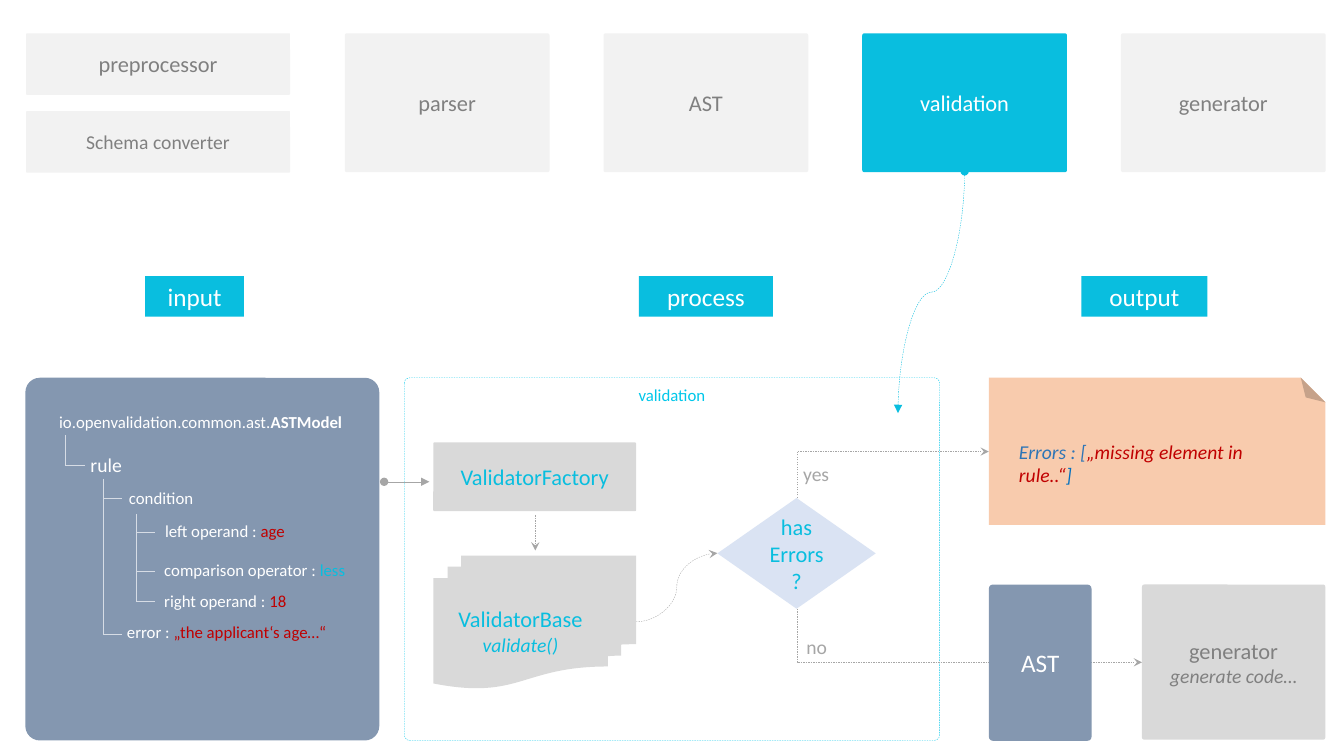
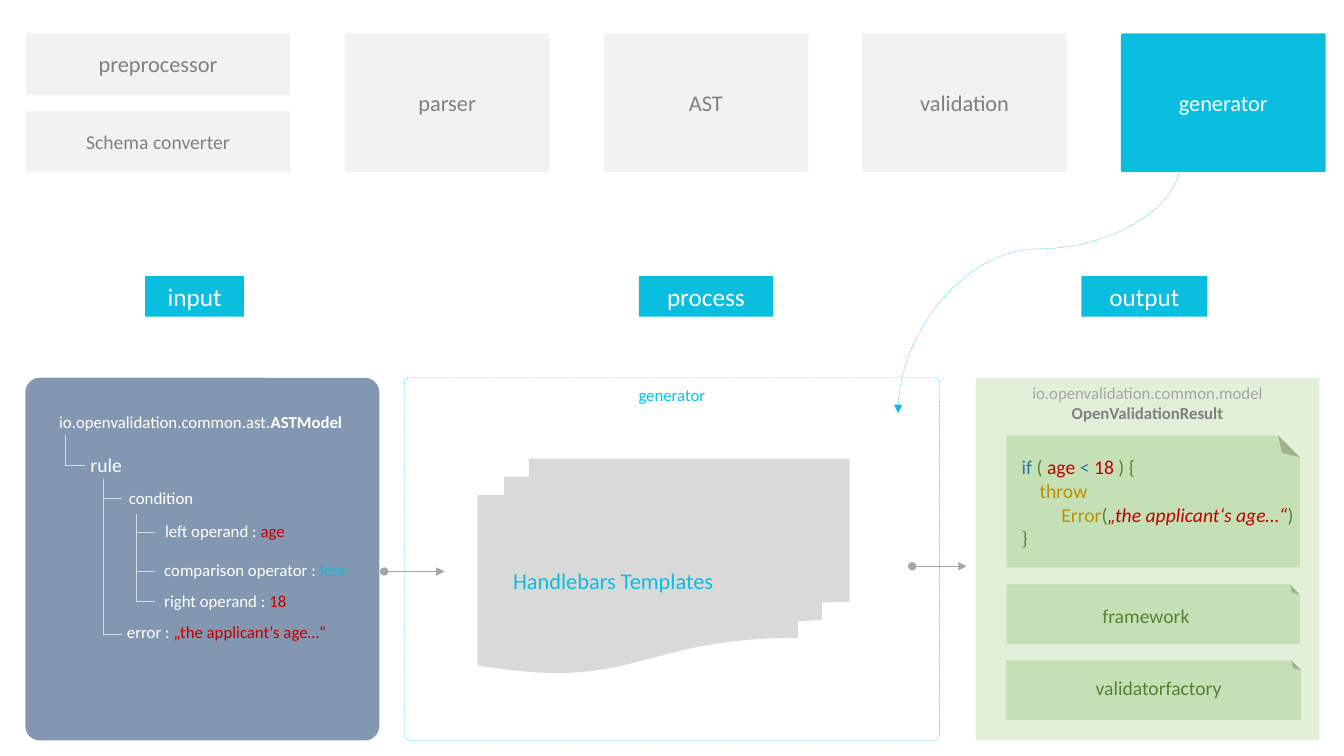
from dataclasses import dataclass

from lxml import etree
from pptx import Presentation
from pptx.dml.color import RGBColor
from pptx.enum.dml import MSO_LINE
from pptx.enum.shapes import MSO_CONNECTOR, MSO_SHAPE
from pptx.enum.text import MSO_ANCHOR, MSO_AUTO_SIZE, PP_ALIGN
from pptx.oxml.ns import qn
from pptx.util import Cm, Pt

RECT, ROUND = MSO_SHAPE.RECTANGLE, MSO_SHAPE.ROUNDED_RECTANGLE
DOCS, DIAMOND = MSO_SHAPE.FLOWCHART_MULTIDOCUMENT, MSO_SHAPE.FLOWCHART_DECISION
FOLD = MSO_SHAPE.FOLDED_CORNER
LINE, CURVE, ELBOW = MSO_CONNECTOR.STRAIGHT, MSO_CONNECTOR.CURVE, MSO_CONNECTOR.ELBOW
DASH, DOT = MSO_LINE.DASH, MSO_LINE.ROUND_DOT
LEFT, CENTER = PP_ALIGN.LEFT, PP_ALIGN.CENTER
TOP, MIDDLE = MSO_ANCHOR.TOP, MSO_ANCHOR.MIDDLE
FIT = MSO_AUTO_SIZE.SHAPE_TO_FIT_TEXT


@dataclass(frozen=True)
class Theme:
    font: str = "Calibri"
    small: int = 12
    body: int = 14
    label: int = 16
    head: int = 18
    hair: float = 0.25
    cyan: str = "09BEDF"
    frame: str = "00C7EA"
    white: str = "FFFFFF"
    pale: str = "F2F2F2"
    gray: str = "D9D9D9"
    mid: str = "A6A6A6"
    dark: str = "808080"
    slate: str = "8497B0"
    twig: str = "D6DCE5"
    ice: str = "DAE3F3"
    peach: str = "F8CBAD"
    mint: str = "E2F0D9"
    leaf: str = "C5E0B4"
    green: str = "548235"
    red: str = "C00000"
    blue: str = "2E75B6"
    sky: str = "0070C0"
    gold: str = "BF9000"


T = Theme()


@dataclass
class Para:
    """One paragraph; runs is a string or (text, colour, style) tuples, style "b" or "i"."""
    runs: object
    size: int
    color: str
    style: str = ""
    indent: float = 0


def paint(font, color, style):
    font.color.rgb = RGBColor.from_string(color)
    if style:
        font.bold = "b" in style
        font.italic = "i" in style


class Deck:
    def __init__(self):
        self.prs = Presentation()
        self.prs.slide_width, self.prs.slide_height = Cm(33.87), Cm(19.05)
        self.slide = None

    def page(self):
        self.slide = self.prs.slides.add_slide(self.prs.slide_layouts[6])

    def fill_in(self, frame, paras, align):
        for i, para in enumerate(paras):
            p = frame.add_paragraph() if i else frame.paragraphs[0]
            p.alignment = align
            p.font.name, p.font.size = T.font, Pt(para.size)
            paint(p.font, para.color, para.style)
            if para.indent:
                p._p.get_or_add_pPr().set("marL", str(Cm(para.indent)))
            runs = [(para.runs,)] if isinstance(para.runs, str) else para.runs
            for text, *look in runs:
                run = p.add_run()
                run.text = text
                if look:
                    paint(run.font, look[0], "".join(look[1:]))

    def box(self, kind, x, y, w, h, fill=None, paras=(), edge=None,
            bend=0.015, align=CENTER, anchor=MIDDLE):
        shape = self.slide.shapes.add_shape(kind, Cm(x), Cm(y), Cm(w), Cm(h))
        shape.shadow.inherit = False
        if kind == ROUND:
            shape.adjustments[0] = bend
        if fill:
            shape.fill.solid()
            shape.fill.fore_color.rgb = RGBColor.from_string(fill)
        else:
            shape.fill.background()
        if edge:
            self.stroke(shape.line, edge, DASH)
        else:
            shape.line.fill.background()
        shape.text_frame.word_wrap = True
        shape.text_frame.vertical_anchor = anchor
        self.fill_in(shape.text_frame, paras, align)
        return shape

    def note(self, x, y, w, h, fill):
        """Sheet with its corner folded at the top right."""
        sheet = self.box(FOLD, x, y, w, h, fill)
        sheet._element.spPr.find(qn("a:xfrm")).set("flipV", "1")

    def text(self, x, y, w, *paras, wrap=False):
        h = sum(0.05 * p.size for p in paras) + 0.16
        frame = self.slide.shapes.add_textbox(Cm(x), Cm(y), Cm(w), Cm(h)).text_frame
        frame.word_wrap = wrap
        frame.auto_size = FIT
        self.fill_in(frame, paras, LEFT)

    def stroke(self, line, color, dash=None):
        line.color.rgb = RGBColor.from_string(color)
        line.width = Pt(T.hair)
        if dash:
            line.dash_style = dash

    def link(self, start, end, color=T.mid, dash=None, kind=LINE,
             head=None, tail=None, down=False, bend=None):
        """Connector; down makes a curve or elbow leave vertically."""
        (x1, y1), (x2, y2) = start, end
        if down:
            cx, cy = (x1 + x2) / 2, (y1 + y2) / 2
            dx, dy = (x2 - x1) / 2, (y2 - y1) / 2
            x1, y1, x2, y2 = cx - dy, cy + dx, cx + dy, cy - dx
        wire = self.slide.shapes.add_connector(kind, Cm(x1), Cm(y1), Cm(x2), Cm(y2))
        self.stroke(wire.line, color, dash)
        props = wire._element.spPr
        shape = props.find(qn("a:prstGeom"))
        if down:
            props.find(qn("a:xfrm")).set("rot", "5400000")
        if kind == ELBOW:
            shape.set("prst", "bentConnector2")
        if bend:
            guide = etree.SubElement(shape.find(qn("a:avLst")), qn("a:gd"))
            guide.set("name", "adj1")
            guide.set("fmla", f"val {round(bend * 100000)}")
        for tag, tip in (("a:headEnd", head), ("a:tailEnd", tail)):
            if tip:
                etree.SubElement(props.find(qn("a:ln")), qn(tag)).set("type", tip)
        etree.SubElement(props, qn("a:effectLst"))

    def arrow(self, x1, x2, y):
        self.link((x1, y), (x2, y), head="oval", tail="triangle")


STAGES = ("parser", "AST", "validation", "generator")
TAGS = (("input", 3.66, 2.49), ("process", 16.1, 3.38), ("output", 27.25, 3.18))
# trunk x, trunk top, twig length, twig heights
TREE = ((1.65, 10.97, 0.48, (11.73,)),
        (2.6, 12.06, 0.47, (12.55, 15.97)),
        (3.43, 12.95, 0.47, (13.41, 14.4, 15.16)))
LEAVES = (
    (1.24, 10.24, 7.67, T.small,
     [("io.openvalidation.common.ast.",), ("ASTModel", T.white, "b")]),
    (2.03, 11.28, 1.32, T.body, "rule"),
    (3, 12.17, 2.16, T.small, "condition"),
    (2.95, 15.54, 5.56, T.small, [("error : ",), ("„the applicant‘s age…“", T.red)]),
    (3.91, 13, 3.58, T.small, [("left operand : ",), ("age", T.red)]),
    (3.89, 14.76, 3.61, T.small, [("right operand : ",), ("18", T.red)]),
    (3.89, 13.97, 5.13, T.small, [("comparison operator : ",), ("less", T.cyan)]),
)


def shared(deck, stage, start, bend=None):
    """Stage bar, pointer, column tags, process frame and input tree."""
    deck.link(start, (22.63, 10.41), T.cyan, DASH, CURVE, "oval", "triangle", True, bend)
    deck.box(ROUND, 10.19, 9.52, 13.49, 9.14, None,
             [Para(stage, T.small, T.frame)], T.frame, anchor=TOP)
    for name, x, w in TAGS:
        deck.box(RECT, x, 6.96, w, 1.02, T.cyan, [Para(name, T.head, T.white)])
    for name, y, size in (("preprocessor", 0.84, T.label),
                          ("Schema converter", 2.8, T.body)):
        deck.box(ROUND, 0.66, y, 6.65, 1.55, T.pale, [Para(name, size, T.dark)])
    for i, name in enumerate(STAGES):
        fill, ink = (T.cyan, T.white) if name == stage else (T.pale, T.dark)
        deck.box(ROUND, 8.69 + 6.52 * i, 0.84, 5.16, 3.5, fill,
                 [Para(name, T.label, ink)])
    deck.box(ROUND, 0.64, 9.52, 8.92, 9.14, T.slate, bend=0.041)
    for x, y, w, size, runs in LEAVES:
        deck.text(x, y, w, Para(runs, size, T.white))
    for x, top, span, twigs in TREE:
        deck.link((x, top), (x, twigs[-1]), T.twig, DOT)
        for y in twigs:
            deck.link((x + span, y), (x, y), T.twig, DOT)


def checks(deck):
    deck.page()
    shared(deck, "validation", (24.31, 4.32))
    deck.arrow(9.68, 10.82, 12.14)
    deck.note(24.92, 9.52, 8.48, 3.71, T.peach)
    deck.text(25.43, 10.95, 6.8, Para(
        [("Errors : [",), ("„missing element in rule..“", T.red, "i"),
         ("]", T.sky, "i")], T.body, T.blue, "i"), wrap=True)
    deck.box(ROUND, 28.78, 14.73, 4.62, 3.91, T.gray,
             [Para("generator", T.label, T.dark),
              Para("generate code…", T.body, T.dark, "i")])
    deck.box(ROUND, 10.92, 11.15, 5.11, 1.73, T.gray,
             [Para("ValidatorFactory", T.label, T.cyan)])
    deck.box(DOCS, 10.92, 14, 5.11, 3.35, T.gray,
             [Para("ValidatorBase", T.label, T.cyan),
              Para("validate()", T.body, T.cyan, "i")])
    deck.box(DIAMOND, 18.08, 12.55, 3.99, 2.79, T.ice,
             [Para(word, T.label, T.cyan) for word in ("has", "Errors?")])
    for start, end, kind, down in (
            ((13.49, 12.98), (13.49, 13.87), LINE, False),
            ((16.03, 15.67), (18.08, 13.94), CURVE, False),
            ((20.08, 15.34), (28.78, 16.69), ELBOW, True),
            ((20.08, 12.55), (24.92, 11.38), ELBOW, True)):
        deck.link(start, end, T.mid, DASH, kind, tail="stealth", down=down)
    deck.text(19.99, 11.51, 1.17, Para("yes", T.body, T.mid))
    deck.text(20.07, 15.88, 1.04, Para("no", T.body, T.mid))
    deck.box(ROUND, 24.92, 14.73, 2.59, 3.94, T.slate,
             [Para("AST", T.head, T.white)], bend=0.041)


def output(deck):
    deck.page()
    deck.box(RECT, 24.59, 9.52, 8.66, 9.14, T.mint,
             [Para("io.openvalidation.common.model", T.small, T.mid),
              Para("OpenValidationResult", T.small, T.dark, "b")], anchor=TOP)
    deck.box(DOCS, 12.04, 11.56, 9.37, 5.41, T.gray,
             [Para("Handlebars Templates", T.label, T.cyan, indent=0.64)], align=LEFT)
    shared(deck, "generator", (29.74, 4.14), 0.34)
    deck.arrow(9.68, 11.2, 14.4)
    deck.arrow(22.99, 24.36, 14.27)
    deck.note(25.37, 10.97, 7.39, 3.33, T.leaf)
    deck.text(
        25.5, 11.35, 7.39,
        Para([("if ", T.blue), ("( ",), ("age ", T.red), ("< ", T.blue),
              ("18 ", T.red), (") {",)], T.body, T.green),
        Para("throw", T.body, T.gold, indent=0.45),
        Para([("Error", T.gold), ("(",), ("„the applicant‘s age…“", T.red, "i"),
              (")",)], T.body, T.green, indent=1),
        Para("}", T.body, T.green))
    deck.note(25.37, 14.73, 7.39, 1.5, T.leaf)
    deck.text(27.53, 15.09, 2.72, Para("framework", T.body, T.green))
    deck.note(25.35, 16.64, 7.44, 1.5, T.leaf)
    deck.text(27.36, 16.92, 3.73, Para("validatorfactory", T.body, T.green))


def main():
    deck = Deck()
    checks(deck)
    output(deck)
    deck.prs.save("out.pptx")


if __name__ == "__main__":
    main()
